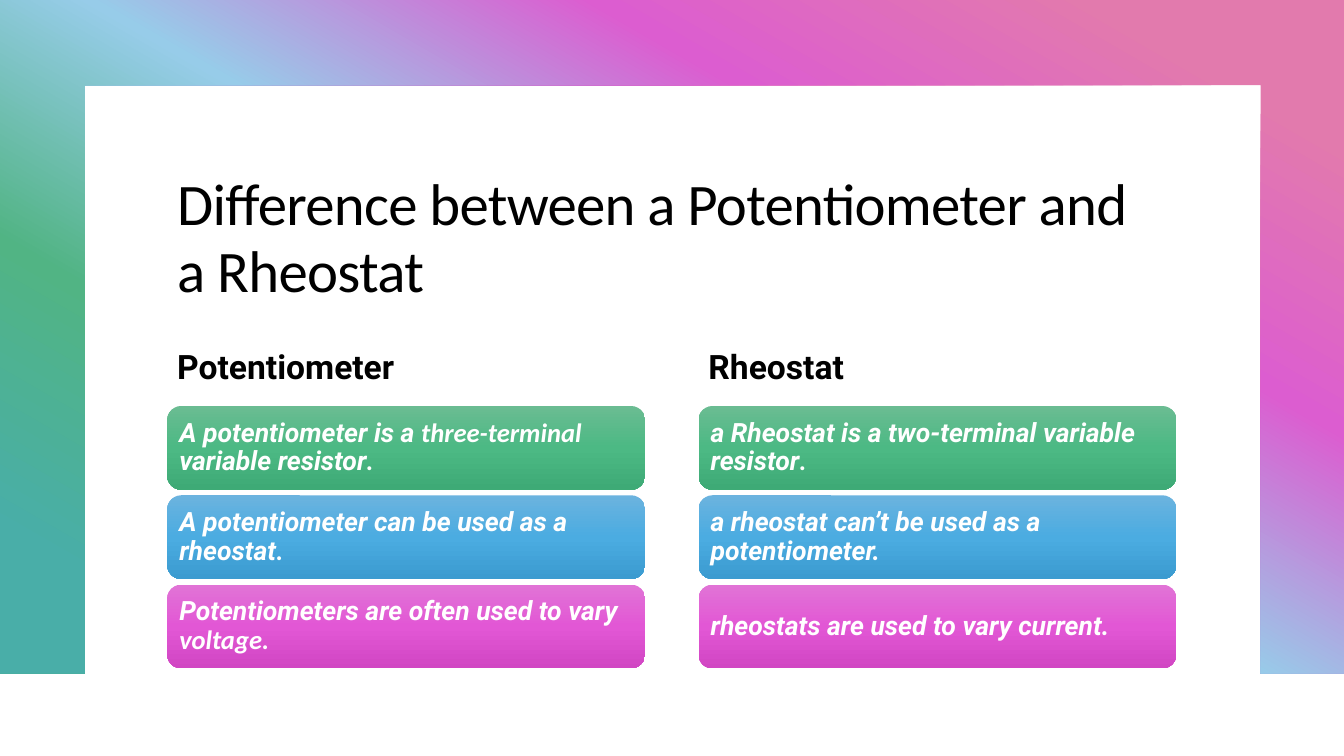
from dataclasses import dataclass

from lxml.etree import SubElement
from pptx import Presentation
from pptx.dml.color import RGBColor
from pptx.enum.shapes import MSO_SHAPE as Preset
from pptx.enum.text import MSO_ANCHOR as Anchor, PP_ALIGN as Align
from pptx.oxml.ns import qn
from pptx.shapes.autoshape import Shape
from pptx.slide import Slide
from pptx.util import Pt

Stops = list[tuple[int, RGBColor]]
Runs = list[tuple[str, str]]

WHITE = RGBColor(0xFF, 0xFF, 0xFF)
BLACK = RGBColor(0x00, 0x00, 0x00)
PINK = RGBColor(0xE2, 0x7A, 0xAD)
MAGENTA = RGBColor(0xDC, 0x5D, 0xD0)
SKY = RGBColor(0x97, 0xCC, 0xE9)
GREEN = RGBColor(0x51, 0xB4, 0x84)
TEAL = RGBColor(0x49, 0xAE, 0xA8)
CARD_GREENS = [RGBColor(0x6A, 0xBC, 0x92), RGBColor(0x4C, 0xB9, 0x84), RGBColor(0x3E, 0xAA, 0x76)]
CARD_BLUES = [RGBColor(0x6B, 0xB3, 0xDF), RGBColor(0x4B, 0xAC, 0xE1), RGBColor(0x3B, 0x9B, 0xD0)]
CARD_PINKS = [RGBColor(0xE1, 0x73, 0xD6), RGBColor(0xE2, 0x57, 0xD5), RGBColor(0xD1, 0x46, 0xC3)]
CARD_COLOURS = [CARD_GREENS, CARD_BLUES, CARD_PINKS]

CALIBRI = "Calibri"
ROBOTO = "Roboto"
SLIDE_WIDTH, SLIDE_HEIGHT = 960, 540
COLUMN_WIDTH = 341.3
CARD_TOP, CARD_HEIGHT, CARD_PITCH = 290, 59.8, 63.8
FRAME = [(0, 0), (960, 0), (960, 481), (900.5, 481), (900.5, 60.8),
         (60.5, 60.8), (60.5, 481), (0, 481)]


@dataclass
class Column:
    left: float
    heading: str
    cards: list[Runs]


COLUMNS = [
    Column(119.5, "Potentiometer", [
        [("A potentiometer is a ", ROBOTO), ("three-terminal", CALIBRI),
         (" variable resistor", ROBOTO), (".", CALIBRI)],
        [("A potentiometer can be used as a rheostat", ROBOTO), (".", CALIBRI)],
        [("Potentiometers are often used to vary ", ROBOTO), ("voltage.", CALIBRI)],
    ]),
    Column(499, "Rheostat", [
        [("a Rheostat is a two-terminal variable resistor", ROBOTO), (".", CALIBRI)],
        [("a rheostat can’t be used as a potentiometer.", ROBOTO)],
        [("rheostats are used to vary current.", ROBOTO)],
    ]),
]


def paint_gradient(shape: Shape, stops: Stops, clockwise_angle: int) -> None:
    """Fill a shape with a linear gradient, without outline or shadow."""
    shape.shadow.inherit = False
    shape.line.fill.background()
    shape.fill.gradient()
    shape.fill.gradient_angle = 360 - clockwise_angle
    stop_list = shape.fill._fill._gradFill.find(qn("a:gsLst"))
    for old_stop in list(stop_list):
        stop_list.remove(old_stop)
    for percent, colour in stops:
        stop = SubElement(stop_list, qn("a:gs"), pos=str(percent * 1000))
        SubElement(stop, qn("a:srgbClr"), val=str(colour))


def add_frame(slide: Slide) -> None:
    points = [(Pt(x), Pt(y)) for x, y in FRAME]
    builder = slide.shapes.build_freeform(*points[0])
    builder.add_line_segments(points[1:], close=True)
    stops = [(10, PINK), (30, MAGENTA), (50, SKY), (70, GREEN), (90, TEAL)]
    paint_gradient(builder.convert_to_shape(), stops, 120)


def add_text(slide: Slide, text: str, left: float, top: float, width: float,
             height: float, font: str, size: float, bold: bool, anchor: Anchor):
    """Add a black text box and return its paragraph."""
    frame = slide.shapes.add_textbox(Pt(left), Pt(top), Pt(width), Pt(height)).text_frame
    frame.word_wrap = True
    frame.vertical_anchor = anchor
    paragraph = frame.paragraphs[0]
    paragraph.add_run().text = text
    paragraph.font.name = font
    paragraph.font.size = Pt(size)
    paragraph.font.bold = bold
    paragraph.font.color.rgb = BLACK
    return paragraph


def add_card(slide: Slide, left: float, top: float, runs: Runs,
             colours: list[RGBColor]) -> None:
    card = slide.shapes.add_shape(Preset.ROUNDED_RECTANGLE, Pt(left), Pt(top),
                                  Pt(COLUMN_WIDTH), Pt(CARD_HEIGHT))
    paint_gradient(card, list(zip((0, 50, 100), colours)), 90)
    frame = card.text_frame
    frame.word_wrap = True
    frame.vertical_anchor = Anchor.MIDDLE
    frame.margin_left = frame.margin_right = Pt(5.7)
    frame.margin_top = frame.margin_bottom = Pt(5.7)
    statement = frame.paragraphs[0]
    statement.alignment = Align.LEFT
    statement.line_spacing = 0.9
    statement.font.size = Pt(19)
    statement.font.bold = statement.font.italic = True
    statement.font.color.rgb = WHITE
    for text, font in runs:
        run = statement.add_run()
        run.text = text
        run.font.name = font


def main() -> None:
    presentation = Presentation()
    presentation.slide_width, presentation.slide_height = Pt(SLIDE_WIDTH), Pt(SLIDE_HEIGHT)
    slide = presentation.slides.add_slide(presentation.slide_layouts[6])
    slide.background.fill.solid()
    slide.background.fill.fore_color.rgb = WHITE

    # Gradient frame
    add_frame(slide)

    # Title, slightly condensed
    title = add_text(slide, "Difference between a Potentiometer and a Rheostat",
                     119.5, 119.5, 720, 105.8, CALIBRI, 42, False, Anchor.TOP)
    title.line_spacing = 0.95
    title.runs[0].font._element.set("spc", "-50")

    # Two columns of comparison cards
    for column in COLUMNS:
        heading = add_text(slide, column.heading, column.left, 231.8, COLUMN_WIDTH, 47.5,
                           ROBOTO, 24, True, Anchor.BOTTOM)
        heading.space_before = Pt(9)
        for row, (runs, colours) in enumerate(zip(column.cards, CARD_COLOURS)):
            add_card(slide, column.left, CARD_TOP + row * CARD_PITCH, runs, colours)

    presentation.save("out.pptx")


if __name__ == "__main__":
    main()
